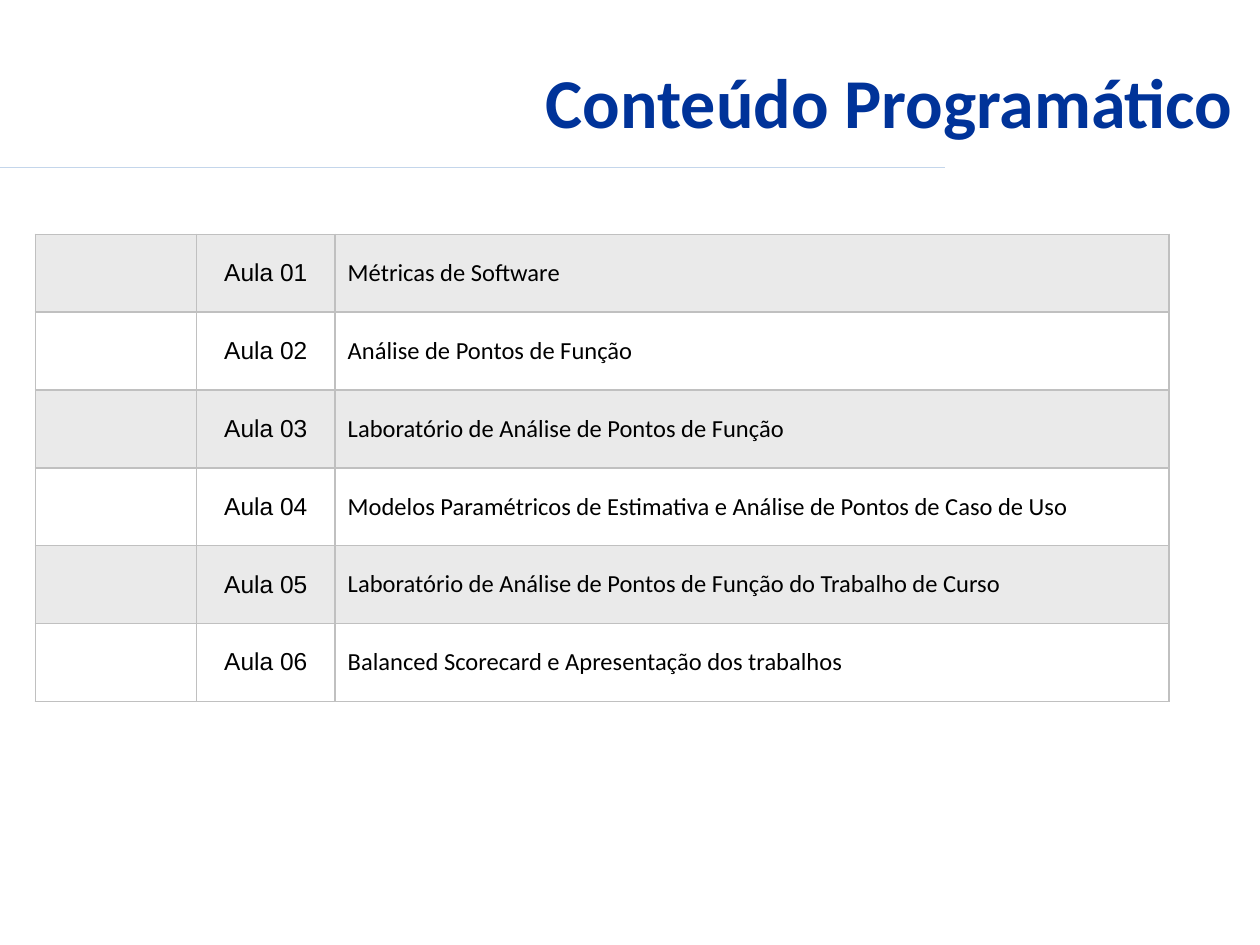
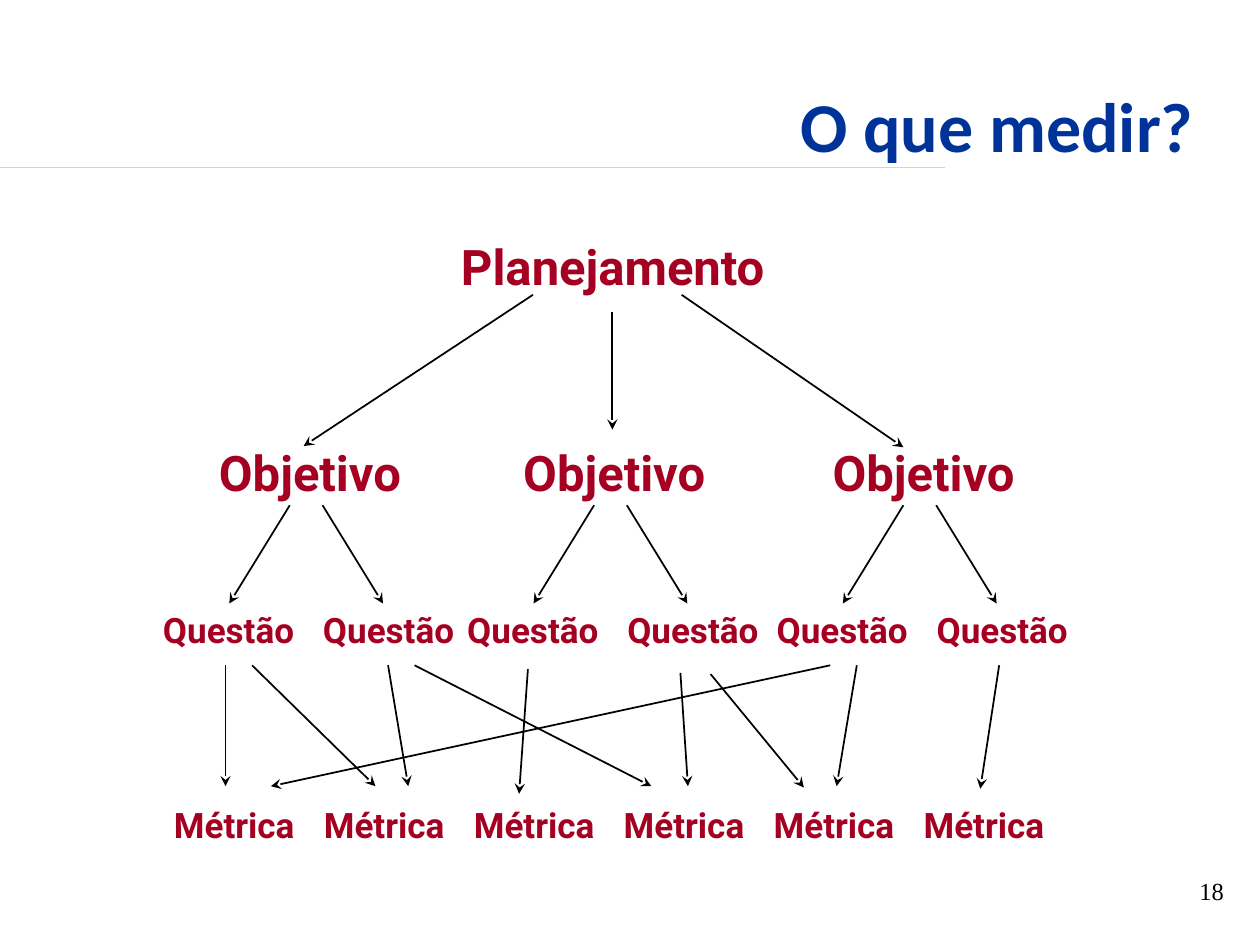
from typing import NamedTuple

from lxml.etree import SubElement
from pptx import Presentation
from pptx.dml.color import RGBColor
from pptx.enum.shapes import MSO_CONNECTOR
from pptx.enum.text import MSO_ANCHOR, PP_ALIGN
from pptx.oxml.ns import qn
from pptx.slide import Slide
from pptx.table import _Cell as Cell
from pptx.text.text import TextFrame
from pptx.util import Emu, Inches, Pt

# The slide is a grid of 100 columns by 75 rows.
COLUMNS, ROWS = 100, 75
UNIT = Inches(0.1)

COLORS = {
    "title": "003399",
    "rule": "C4D6EB",
    "text": "000000",
    "node": "A50021",
    "band": "EAEAEA",
    "border": "C0C0C0",
}
LESSONS = [
    "Métricas de Software",
    "Análise de Pontos de Função",
    "Laboratório de Análise de Pontos de Função",
    "Modelos Paramétricos de Estimativa e Análise de Pontos de Caso de Uso",
    "Laboratório de Análise de Pontos de Função do Trabalho de Curso",
    "Balanced Scorecard e Apresentação dos trabalhos",
]


class Box(NamedTuple):
    left: float
    top: float
    width: float
    height: float


class Level(NamedTuple):
    """One row of equal labels in the tree."""
    text: str
    top: float
    width: float
    height: float
    size: int


class Arrow(NamedTuple):
    start_column: float
    start_row: float
    end_column: float
    end_row: float


GOAL = Level("Objetivo", 34.7, 18.2, 5.4, 28)
QUESTION = Level("Questão", 47.9, 13, 4.1, 20)
METRIC = Level("Métrica", 63.4, 12, 4.1, 20)

BRANCH_CENTERS = [24.3, 48.45, 73]
METRIC_CENTERS = [18.6 + 11.9 * index for index in range(6)]

PLAN_ARROWS = [
    Arrow(42.3, 23.4, 24.1, 35.4),
    Arrow(48.6, 24.8, 48.6, 34.1),
    Arrow(54.1, 23.4, 71.7, 35.5),
]
METRIC_ARROWS = [
    Arrow(17.9, 52.8, 17.9, 62.4),
    Arrow(20, 52.8, 29.8, 62.4),
    Arrow(30.8, 52.8, 32.4, 62.4),
    Arrow(32.9, 52.8, 51.7, 62.4),
    Arrow(41.9, 53.1, 41.2, 63),
    Arrow(79.3, 52.8, 77.8, 62.6),
    Arrow(68, 52.8, 66.4, 62.4),
    Arrow(56.4, 53.5, 63.8, 62.5),
    Arrow(54, 53.4, 54.6, 62.4),
    Arrow(65.9, 52.8, 21.5, 62.4),
]


def grid(units: float) -> Emu:
    return Emu(round(units * UNIT))


def write(frame: TextFrame, text: str, *, size: int, font: str = "Calibri",
          color: str = "text", bold: bool = False,
          align: PP_ALIGN = PP_ALIGN.LEFT) -> None:
    paragraph = frame.paragraphs[0]
    paragraph.alignment = align
    run = paragraph.add_run()
    run.text = text
    run.font.name = font
    run.font.size = Pt(size)
    run.font.bold = bold
    run.font.color.rgb = RGBColor.from_string(COLORS[color])


def add_text(slide: Slide, box: Box, text: str, *, inset: tuple[float, float] = (1, 0.5),
             anchor: MSO_ANCHOR = MSO_ANCHOR.TOP, **text_format) -> None:
    frame = slide.shapes.add_textbox(*map(grid, box)).text_frame
    frame.word_wrap = True
    frame.vertical_anchor = anchor
    frame.margin_left = frame.margin_right = grid(inset[0])
    frame.margin_top = frame.margin_bottom = grid(inset[1])
    write(frame, text, **text_format)


def add_line(slide: Slide, line: Arrow, color: str = "text", width: float = 1,
             arrowhead: bool = True) -> None:
    connector = slide.shapes.add_connector(MSO_CONNECTOR.STRAIGHT, *map(grid, line))
    connector.line.color.rgb = RGBColor.from_string(COLORS[color])
    connector.line.width = Pt(width)
    properties = connector._element.spPr
    if arrowhead:
        SubElement(properties.find(qn("a:ln")), qn("a:tailEnd"), type="stealth")
    SubElement(properties, qn("a:effectLst"))


def add_titled_slide(presentation: Presentation, title: str, box: Box,
                     **placement) -> Slide:
    slide = presentation.slides.add_slide(presentation.slide_layouts[6])
    add_line(slide, Arrow(0, 13.3, 75, 13.3), "rule", 0.75, arrowhead=False)
    add_text(slide, box, title, size=40, color="title", bold=True,
             align=PP_ALIGN.RIGHT, **placement)
    return slide


def style_cell(cell: Cell, banded: bool) -> None:
    properties = cell._tc.get_or_add_tcPr()
    for side in ("lnL", "lnR", "lnT", "lnB"):
        border = SubElement(properties, qn(f"a:{side}"), w=str(Pt(1)))
        fill = SubElement(border, qn("a:solidFill"))
        SubElement(fill, qn("a:srgbClr"), val=COLORS["border"])
    if banded:
        cell.fill.solid()
        cell.fill.fore_color.rgb = RGBColor.from_string(COLORS["band"])
    else:
        cell.fill.background()
    cell.vertical_anchor = MSO_ANCHOR.MIDDLE


def add_lesson_table(slide: Slide) -> None:
    widths, row_height = (12.8, 11, 66.2), 6.18
    box = Box(2.8, 18.6, sum(widths), row_height * len(LESSONS))
    table = slide.shapes.add_table(len(LESSONS), len(widths), *map(grid, box)).table
    table.first_row = table.horz_banding = False
    for column, width in zip(table.columns, widths):
        column.width = grid(width)
    for index, lesson in enumerate(LESSONS):
        table.rows[index].height = grid(row_height)
        cells = table.rows[index].cells
        for cell in cells:
            style_cell(cell, banded=index % 2 == 0)
        write(cells[1].text_frame, f"Aula {index + 1:02}", size=14, font="Arial",
              align=PP_ALIGN.CENTER)
        write(cells[2].text_frame, lesson, size=14)


def add_node(slide: Slide, level: Level, center: float) -> None:
    box = Box(center - level.width / 2, level.top, level.width, level.height)
    add_text(slide, box, level.text, inset=(0.8, 0.4), size=level.size, font="Roboto",
             color="node", bold=True, align=PP_ALIGN.CENTER)


def add_branch(slide: Slide, center: float) -> None:
    """Draw a goal with its two questions."""
    add_node(slide, GOAL, center + 0.3)
    for side in (-1, 1):
        add_node(slide, QUESTION, center + 0.2 + 6.35 * side)
        add_line(slide, Arrow(center + 1.3 * side, 40.1, center + 6.1 * side, 47.9))


def build_program(presentation: Presentation) -> None:
    slide = add_titled_slide(presentation, "Conteúdo Programático",
                             Box(16.1, 2.9, 82.7, 10.1), anchor=MSO_ANCHOR.MIDDLE)
    add_lesson_table(slide)


def build_measurement(presentation: Presentation) -> None:
    slide = add_titled_slide(presentation, "O que medir?", Box(7.5, 0.3, 88.2, 12.9),
                             anchor=MSO_ANCHOR.BOTTOM, inset=(1, 0))
    add_text(slide, Box(94.2, 69, 5, 5.2), "18", size=14, font="Times New Roman")
    add_text(slide, Box(35.6, 18.3, 29.1, 5.7), "Planejamento", size=28,
             font="Roboto", color="node", bold=True)
    for center in BRANCH_CENTERS:
        add_branch(slide, center)
    for center in METRIC_CENTERS:
        add_node(slide, METRIC, center)
    for arrow in PLAN_ARROWS + METRIC_ARROWS:
        add_line(slide, arrow)


def main() -> None:
    presentation = Presentation()
    presentation.slide_width = grid(COLUMNS)
    presentation.slide_height = grid(ROWS)
    build_program(presentation)
    build_measurement(presentation)
    presentation.save("out.pptx")


if __name__ == "__main__":
    main()
